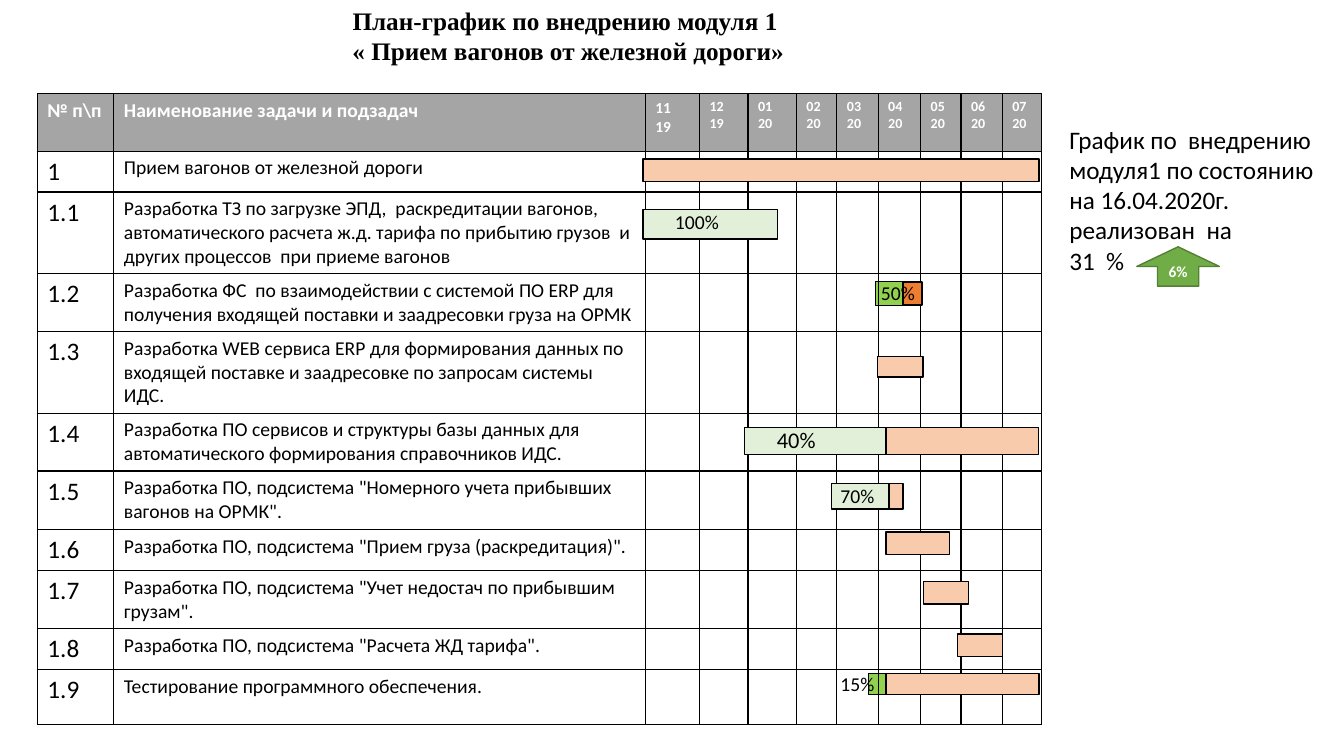
from dataclasses import dataclass

from lxml import etree
from pptx import Presentation
from pptx import util as u
from pptx.dml.color import RGBColor
from pptx.enum import shapes, text
from pptx.oxml import ns


@dataclass(frozen=True)
class Theme:
    ink: str = "000000"
    white: str = "FFFFFF"
    header: str = "A5A5A5"
    planned: str = "F8CBAD"
    done: str = "E2F0D9"
    progress: str = "92D050"
    remaining: str = "ED7D31"
    arrow: str = "70AD47"
    arrow_edge: str = "538035"
    body_font: str = "Calibri"
    title_font: str = "Times New Roman"
    large: int = 18
    medium: int = 16
    normal: int = 14
    small: int = 11
    tiny: int = 10


THEME = Theme()

MONTHS = ["11\n19", "12 19", "01\n20", "02\n20", "03\n20", "04\n20", "05\n20", "06\n20", "07\n20"]
COLUMN_WIDTHS = [1.93, 13.39, 1.37, 1.22, 1.22, 1.02, 1.04, 1.07, 1.02, 1.04, 0.99]
HEADER_HEIGHT = 1.45

# number, task, row height in cm
TASKS = [
    ("1", "Прием вагонов от железной дороги", 1.02),
    ("1.1", "Разработка ТЗ по загрузке ЭПД,  раскредитации вагонов, автоматического расчета "
            "ж.д. тарифа по прибытию грузов  и других процессов  при приеме вагонов", 2.03),
    ("1.2", "Разработка ФС  по взаимодействии с системой ПО ERP для получения входящей "
            "поставки и заадресовки груза на ОРМК", 1.45),
    ("1.3", "Разработка WEB сервиса ERP для формирования данных по входящей поставке и "
            "заадресовке по запросам системы ИДС.", 2.03),
    ("1.4", "Разработка ПО сервисов и структуры базы данных для автоматического "
            "формирования справочников ИДС.", 1.45),
    ("1.5", "Разработка ПО, подсистема \"Номерного учета прибывших вагонов на ОРМК\".", 1.48),
    ("1.6", "Разработка ПО, подсистема \"Прием груза (раскредитация)\".", 1.02),
    ("1.7", "Разработка ПО, подсистема \"Учет недостач по прибывшим грузам\".", 1.45),
    ("1.8", "Разработка ПО, подсистема \"Расчета ЖД тарифа\".", 1.02),
    ("1.9", "Тестирование программного обеспечения.", 1.4),
]

# left, top, width, height in cm, colour
BARS_UNDER_GRID = [
    (21.89, 16.97, 0.43, 0.53, THEME.progress),
    (22.07, 7.09, 0.69, 0.61, THEME.progress),
]
BARS_OVER_GRID = [
    (24.13, 15.98, 1.14, 0.56, THEME.planned),
    (23.27, 14.66, 1.14, 0.56, THEME.planned),
    (22.33, 13.41, 1.6, 0.56, THEME.planned),
    (22.38, 12.19, 0.38, 0.64, THEME.planned),
    (22.07, 10.77, 4.11, 0.69, THEME.planned),
    (22.76, 7.11, 0.48, 0.58, THEME.remaining),
    (16.21, 4.01, 9.98, 0.56, THEME.planned),
    (16.21, 5.28, 3.38, 0.74, THEME.done),
    (22.12, 8.99, 1.14, 0.51, THEME.planned),
    (22.33, 16.97, 3.86, 0.53, THEME.planned),
    (18.77, 10.77, 3.56, 0.69, THEME.done),
    (20.96, 12.19, 1.45, 0.64, THEME.done),
]

# text, left, top, width, height in cm, type size
PERCENTAGES = [
    ("100%", 16.76, 5.16, 1.63, 0.86, THEME.normal),
    ("40%", 19.33, 10.62, 1.5, 0.94, THEME.medium),
    ("70%", 20.93, 12.07, 1.47, 0.86, THEME.normal),
    ("50%", 21.95, 6.96, 1.37, 0.86, THEME.normal),
    ("15%", 20.93, 16.81, 1.37, 0.86, THEME.normal),
]


def format_text(frame, size, color=THEME.ink, bold=False, font=THEME.body_font, align=None):
    for paragraph in frame.paragraphs:
        paragraph.alignment = align
        for run in paragraph.runs:
            run.font.name = font
            run.font.size = u.Pt(size)
            run.font.bold = bold
            run.font.color.rgb = RGBColor.from_string(color)


def add_block(slide, kind, box, fill, edge=THEME.ink):
    block = slide.shapes.add_shape(kind, *map(u.Cm, box))
    block.shadow.inherit = False
    block.fill.solid()
    block.fill.fore_color.rgb = RGBColor.from_string(fill)
    block.line.color.rgb = RGBColor.from_string(edge)
    block.line.width = u.Pt(1)
    return block


def add_bars(slide, bars):
    for *box, color in bars:
        add_block(slide, shapes.MSO_SHAPE.RECTANGLE, box, color)


def add_label(slide, wording, box, size, wrap=False):
    frame = slide.shapes.add_textbox(*map(u.Cm, box)).text_frame
    frame.word_wrap = wrap
    frame.text = wording
    format_text(frame, size)


def border_cell(cell):
    properties = cell._tc.get_or_add_tcPr()
    for index, side in enumerate(("a:lnL", "a:lnR", "a:lnT", "a:lnB")):
        line = etree.Element(ns.qn(side), w=str(u.Pt(1)))
        fill = etree.SubElement(line, ns.qn("a:solidFill"))
        etree.SubElement(fill, ns.qn("a:srgbClr"), val=THEME.ink)
        properties.insert(index, line)


def add_schedule(slide):
    heights = [HEADER_HEIGHT] + [height for *_, height in TASKS]
    frame = slide.shapes.add_table(
        len(heights), len(COLUMN_WIDTHS), u.Cm(0.94), u.Cm(2.36),
        u.Cm(sum(COLUMN_WIDTHS)), u.Cm(sum(heights)))
    schedule = frame.table
    schedule.horz_banding = False
    for column, width in zip(schedule.columns, COLUMN_WIDTHS):
        column.width = u.Cm(width)
    for row, height in zip(schedule.rows, heights):
        row.height = u.Cm(height)

    for cell in schedule.iter_cells():
        cell.fill.background()
        border_cell(cell)

    headings = ["№ п\\п", "Наименование задачи и подзадач"] + MONTHS
    sizes = [THEME.normal] * 2 + [THEME.small] + [THEME.tiny] * (len(MONTHS) - 1)
    for cell, heading, size in zip(schedule.rows[0].cells, headings, sizes):
        cell.fill.solid()
        cell.fill.fore_color.rgb = RGBColor.from_string(THEME.header)
        cell.text_frame.text = heading
        format_text(cell.text_frame, size, THEME.white, bold=True)

    for row, (number, task, _) in enumerate(TASKS, start=1):
        for column, (wording, size) in enumerate([(number, THEME.large), (task, THEME.normal)]):
            frame = schedule.cell(row, column).text_frame
            frame.text = wording
            format_text(frame, size)


def set_title(slide):
    title = slide.shapes.title
    title.left, title.top, title.width, title.height = map(u.Cm, (4.01, 0, 20.62, 1.8))
    frame = title.text_frame
    frame.text = "План-график по внедрению модуля 1 \n« Прием вагонов от железной дороги»"
    frame.word_wrap = True
    frame.auto_size = text.MSO_AUTO_SIZE.NONE
    frame.vertical_anchor = text.MSO_ANCHOR.TOP
    format_text(frame, THEME.large, bold=True, font=THEME.title_font, align=text.PP_ALIGN.CENTER)


def add_growth_arrow(slide):
    arrow = add_block(slide, shapes.MSO_SHAPE.UP_ARROW, (28.65, 6.22, 2.08, 0.99),
                      THEME.arrow, THEME.arrow_edge)
    frame = arrow.text_frame
    frame.text = "6%"
    frame.vertical_anchor = text.MSO_ANCHOR.MIDDLE
    format_text(frame, THEME.small, THEME.white, bold=True, align=text.PP_ALIGN.CENTER)


def main():
    deck = Presentation()
    deck.slide_width, deck.slide_height = u.Cm(33.87), u.Cm(19.05)
    slide = deck.slides.add_slide(deck.slide_layouts[5])
    set_title(slide)
    add_bars(slide, BARS_UNDER_GRID)
    add_schedule(slide)
    add_bars(slide, BARS_OVER_GRID)
    add_label(slide, "График по  внедрению модуля1 по состоянию на 16.04.2020г. реализован  на\n31  %",
              (26.7, 3, 6.76, 4.11), THEME.large, wrap=True)
    for wording, *box, size in PERCENTAGES:
        add_label(slide, wording, box, size)
    add_growth_arrow(slide)
    deck.save("out.pptx")


if __name__ == "__main__":
    main()
